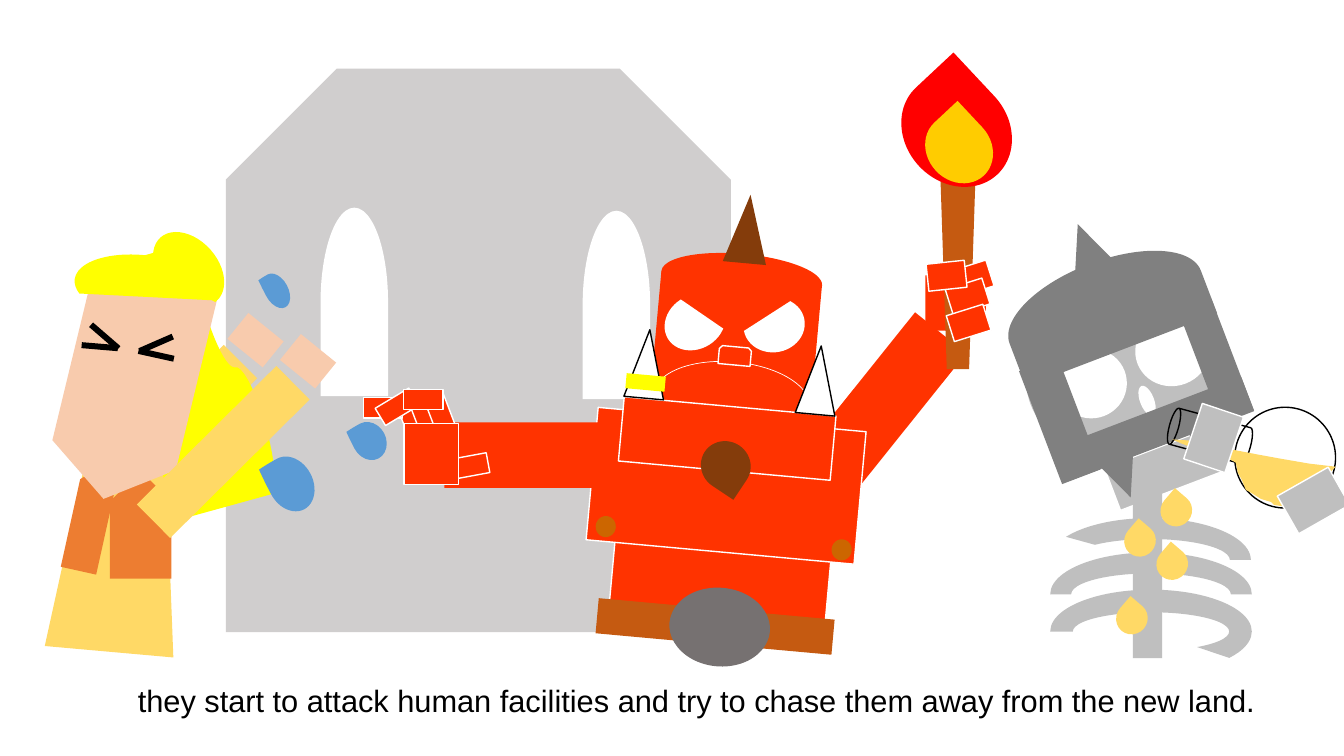
from pptx import Presentation
from pptx.dml.color import RGBColor
from pptx.enum.shapes import MSO_SHAPE
from pptx.util import Pt

RECT = MSO_SHAPE.RECTANGLE
OVAL = MSO_SHAPE.OVAL
DISC = MSO_SHAPE.FLOWCHART_CONNECTOR
DOME = MSO_SHAPE.FLOWCHART_DELAY
TAPER = MSO_SHAPE.FLOWCHART_MANUAL_OPERATION
OFFPAGE = MSO_SHAPE.FLOWCHART_OFFPAGE_CONNECTOR
TAPE = MSO_SHAPE.FLOWCHART_PUNCHED_TAPE
SNIP = MSO_SHAPE.SNIP_2_SAME_RECTANGLE
TRIANGLE = MSO_SHAPE.ISOSCELES_TRIANGLE
BLOCK_ARC = MSO_SHAPE.BLOCK_ARC
ARC = MSO_SHAPE.ARC
CHORD = MSO_SHAPE.CHORD
TEAR = MSO_SHAPE.TEAR
PLATE = MSO_SHAPE.PENTAGON
CAN = MSO_SHAPE.CAN

WHITE, BLACK, YELLOW = "FFFFFF", "000000", "FFFF00"
STONE, BONE, HELMET, BUCKLE = "D0CECE", "BFBFBF", "808080", "767171"
GOLD, SKIN, ORANGE, BLUE = "FFD966", "F8CBAD", "ED7D31", "5B9BD5"
RED, BROWN, WOOD, STUD = "FF3300", "843C0B", "C55A11", "CC6600"
FLAME, FLAME_CORE = "FF0000", "FFCC00"
DEMON_TILT = 5.2
SKULL_TILT = 339.1
FLAME_TILT = 316.9
DRIP_TILT = 310.5
SWEAT_TILT = 241.9
ARM_TILT = 45.2
HAND_TILT = 39


def paint(shape, fill, line=None, weight=1):
    shape.shadow.inherit = False
    if fill:
        shape.fill.solid()
        shape.fill.fore_color.rgb = RGBColor.from_string(fill)
    else:
        shape.fill.background()
    if line:
        shape.line.color.rgb = RGBColor.from_string(line)
        shape.line.width = Pt(weight)
    else:
        shape.line.fill.background()


def draw(figure, kind, frame, fill, turn=0, line=None, adjust=(), weight=1):
    shape = figure.shapes.add_shape(kind, *[Pt(length) for length in frame])
    shape.rotation = turn
    for index, value in enumerate(adjust):
        shape.adjustments[index] = value
    paint(shape, fill, line, weight)


deck = Presentation()
deck.slide_width = Pt(960)
deck.slide_height = Pt(540)
page = deck.slides.add_slide(deck.slide_layouts[6])

tower = page.shapes.add_group_shape()
draw(tower, SNIP, (161.3, 49, 360.7, 402.5), STONE, adjust=(0.22, 0))
for left, top in [(373, 193.7), (185.8, 191.5)]:
    draw(tower, DOME, (left, top, 134.6, 48.2), WHITE, 270)

skeleton = page.shapes.add_group_shape()
draw(skeleton, RECT, (784.8, 299.5, 79.9, 32.4), BONE, SKULL_TILT)
draw(skeleton, OVAL, (731.5, 203.8, 146.2, 118.8), BONE, SKULL_TILT)
draw(skeleton, RECT, (792, 319, 79.9, 32.4), BONE, SKULL_TILT, WHITE)

left_socket = (754.6, 249.1, 50.4, 49.7)
right_socket = (810.7, 224.6, 54, 51.1)
nose_hole = (814.3, 275, 10.1, 22.3)
for hole in [left_socket, right_socket, nose_hole]:
    draw(skeleton, DISC, hole, WHITE, SKULL_TILT)

left_cheek = (742.3, 257, 29.5, 86.4)
right_cheek = (856.1, 214.6, 25.2, 86.4)
jaw_guard = (812.9, 236.2, 25.9, 139.7)
for plate, turn in [(left_cheek, 0), (right_cheek, 0), (jaw_guard, 90)]:
    draw(skeleton, RECT, plate, HELMET, (SKULL_TILT + turn) % 360)
draw(skeleton, DOME, (756.7, 146.2, 65.5, 146.2), HELMET, SKULL_TILT - 90)
for left, top, turn in [(787, 323.3, 180), (849.6, 299.5, 180), (761, 159.1, 0)]:
    draw(skeleton, TRIANGLE, (left, top, 29.5, 33.1), HELMET, SKULL_TILT - turn)

top_rib = (117.23, 0, 0.25)
middle_rib = (108, 0, 0.25)
bottom_rib = (108, 11.19, 0.27)
for left, top, bend in [(749.5, 370.1, top_rib), (750.2, 394.6, middle_rib),
                        (750.2, 421.2, bottom_rib)]:
    draw(skeleton, BLOCK_ARC, (left, top, 144, 59.8), BONE, adjust=bend)
draw(skeleton, RECT, (809.3, 352.8, 20.9, 117.4), BONE)

draw(skeleton, CAN, (851, 281.5, 26.6, 59.8), None, 285.2, BLACK)
draw(skeleton, OVAL, (882, 290.9, 72, 72), None, 318.1, BLACK)
potion_edge = [(Pt(x), Pt(y)) for x, y in [
    (837.4, 313.9), (848.2, 314.6), (859.7, 316.8), (869, 319), (883.4, 321.8),
    (898.6, 324.7), (914.4, 327.6), (935.3, 331.2), (954, 333.4), (950.4, 337),
    (946.1, 344.2), (941, 347), (938.2, 351.4), (931.7, 355.7), (925.2, 359.3),
    (920.2, 362.2), (910.1, 360.7), (907.9, 358.6), (900.7, 356.4), (895, 352.8),
    (889.9, 349.9), (887, 342.7), (884.2, 337.7), (882.7, 330.5), (877.7, 327.6),
    (871.2, 324.7), (866.2, 323.3), (858.2, 321.8), (851.8, 319.7), (843.8, 316.8),
]]
potion = skeleton.shapes.build_freeform(*potion_edge[0])
potion.add_line_segments(potion_edge[1:], close=True)
paint(potion.convert_to_shape(), GOLD)

for left, top, turn in [(846, 297.4, 288.5), (917.3, 342, 330.4)]:
    draw(skeleton, RECT, (left, top, 41.8, 31), BONE, turn, WHITE)
for left, top in [(802.8, 375.1), (825.8, 391.7), (797, 430.6), (828.7, 353.5)]:
    draw(skeleton, TEAR, (left, top, 23, 22.3), GOLD, DRIP_TILT)

caption = page.shapes.add_textbox(Pt(91.4), Pt(483.1), Pt(843.1), Pt(33.8))
caption.text_frame.word_wrap = True
span = caption.text_frame.paragraphs[0].add_run()
span.text = "they start to attack human facilities and try to chase them away from the new land."
span.font.name = "Arial"
span.font.size = Pt(22)
span.font.color.rgb = RGBColor.from_string(BLACK)

villager = page.shapes.add_group_shape()
far_arm = (105.1, 237.6, 33.8, 140.4)
far_hand = (166.3, 231.1, 32.4, 23.8)
arm_gap = 37.5
arm_drop = 15.1
draw(villager, RECT, far_arm, GOLD, ARM_TILT)
draw(villager, RECT, far_hand, SKIN, HAND_TILT)
draw(villager, TAPER, (38.2, 321.8, 92.2, 144), GOLD, 185.1)
for vest_side, turn in [((25.9, 357.1, 77, 25.9), 282.5), ((61.9, 352.8, 77, 43.9), 270)]:
    draw(villager, PLATE, vest_side, ORANGE, turn)
draw(villager, TAPE, (35.3, 223.2, 188.6, 99.4), YELLOW, 254.6)
draw(villager, OFFPAGE, (47.5, 198, 90.7, 160.6), SKIN, 13.6)
fringe = (80.6, 154.8, 46.8, 102.2)
bun = (113.8, 162, 41.8, 60.5)
for hair, turn, start in [(fringe, 97.3, 46.89), (bun, 138.5, 28.62)]:
    draw(villager, CHORD, hair, YELLOW, turn, adjust=(start, 163.55))
for left, top, turn in [(61.9, 238.3, 40.8), (58.3, 245.5, 4.8),
                        (98.6, 251.3, 192.4), (98.6, 243.4, 156.4)]:
    draw(villager, RECT, (left, top, 25.9, 4.3), BLACK, turn)
for sweat in [(184.3, 199.4, 26.6, 16.6), (249.8, 303.1, 28.1, 23.8),
              (187.2, 329.8, 41, 31.7)]:
    draw(villager, TEAR, sweat, BLUE, SWEAT_TILT, adjust=(0.96,))
for limb, fill, turn in [(far_arm, GOLD, ARM_TILT), (far_hand, SKIN, HAND_TILT)]:
    left, top, width, height = limb
    draw(villager, RECT, (left + arm_gap, top + arm_drop, width, height), fill, turn)

demon = page.shapes.add_group_shape()
draw(demon, RECT, (572.4, 262.1, 122.4, 46.8), RED, 128.7)
belly = (438.5, 351.4, 154.8, 95)
chest = (422.6, 299.5, 192.2, 95)
head = (467.3, 198.7, 115.2, 108.7)
collar = (443.5, 290.2, 151.9, 46.1)
for part, line in [(belly, WHITE), (chest, WHITE), (head, None), (collar, WHITE)]:
    draw(demon, RECT, part, RED, DEMON_TILT, line)
draw(demon, DISC, (472.3, 181.4, 115.2, 34.6), RED, DEMON_TILT)
for eye, turn in [((473.8, 211, 45.4, 38.2), 327.9), ((533.5, 210.2, 38.9, 43.9), 259)]:
    draw(demon, CHORD, eye, WHITE, turn)
draw(demon, TEAR, (501.1, 314.6, 34.6, 36), BROWN, 123.6)
draw(demon, TRIANGLE, (518.4, 139, 31, 49), BROWN, DEMON_TILT)
draw(demon, ARC, (466.6, 258.5, 112.3, 56.2), None, DEMON_TILT, WHITE, (109.74, 0), 0.5)
draw(demon, SNIP, (513.4, 247.7, 23, 13), RED, DEMON_TILT, WHITE)
for left, top in [(570.2, 247), (447.8, 235.4)]:
    draw(demon, TRIANGLE, (left, top, 28.4, 49), WHITE, DEMON_TILT, BLACK)
draw(demon, RECT, (447.1, 267.8, 28.1, 10.8), YELLOW, DEMON_TILT)
for left, top in [(425.5, 368.6), (594, 385.2)]:
    draw(demon, DISC, (left, top, 14.4, 15.1), STUD, DEMON_TILT)
draw(demon, RECT, (426.2, 434.9, 169.2, 25.2), WOOD, DEMON_TILT)
draw(demon, OVAL, (478.1, 419.8, 72, 56.2), BUCKLE, DEMON_TILT)

draw(demon, RECT, (317.5, 301.7, 122.4, 46.8), RED)
for left, top, turn in [(286.6, 283, 339.1), (327.6, 319, 79.5), (295.9, 282.2, 339.1),
                        (306.7, 280.1, 339.1), (266.4, 277.2, 270), (276.5, 276.5, 238.9),
                        (295.2, 271.4, 270)]:
    draw(demon, RECT, (left, top, 14.4, 28.1), RED, turn, WHITE)
draw(demon, RECT, (288.7, 302.4, 38.9, 43.9), RED, line=WHITE)

draw(demon, RECT, (661, 196.6, 43.2, 39.6), RED)
draw(demon, TAPER, (671, 103, 26.6, 160.6), WOOD)
for blaze, fill in [((646.6, 51.1, 73.4, 85), FLAME), ((662.4, 80.6, 45.4, 51.8), FLAME_CORE)]:
    draw(demon, TEAR, blaze, fill, FLAME_TILT)
for left, top, turn in [(680.4, 189.4, 342.5), (677.5, 202.3, 342.5),
                        (662.4, 187.2, 174), (678.2, 221, 342.5)]:
    draw(demon, RECT, (left, top, 27.4, 19.4), RED, turn, WHITE)

deck.save("out.pptx")
